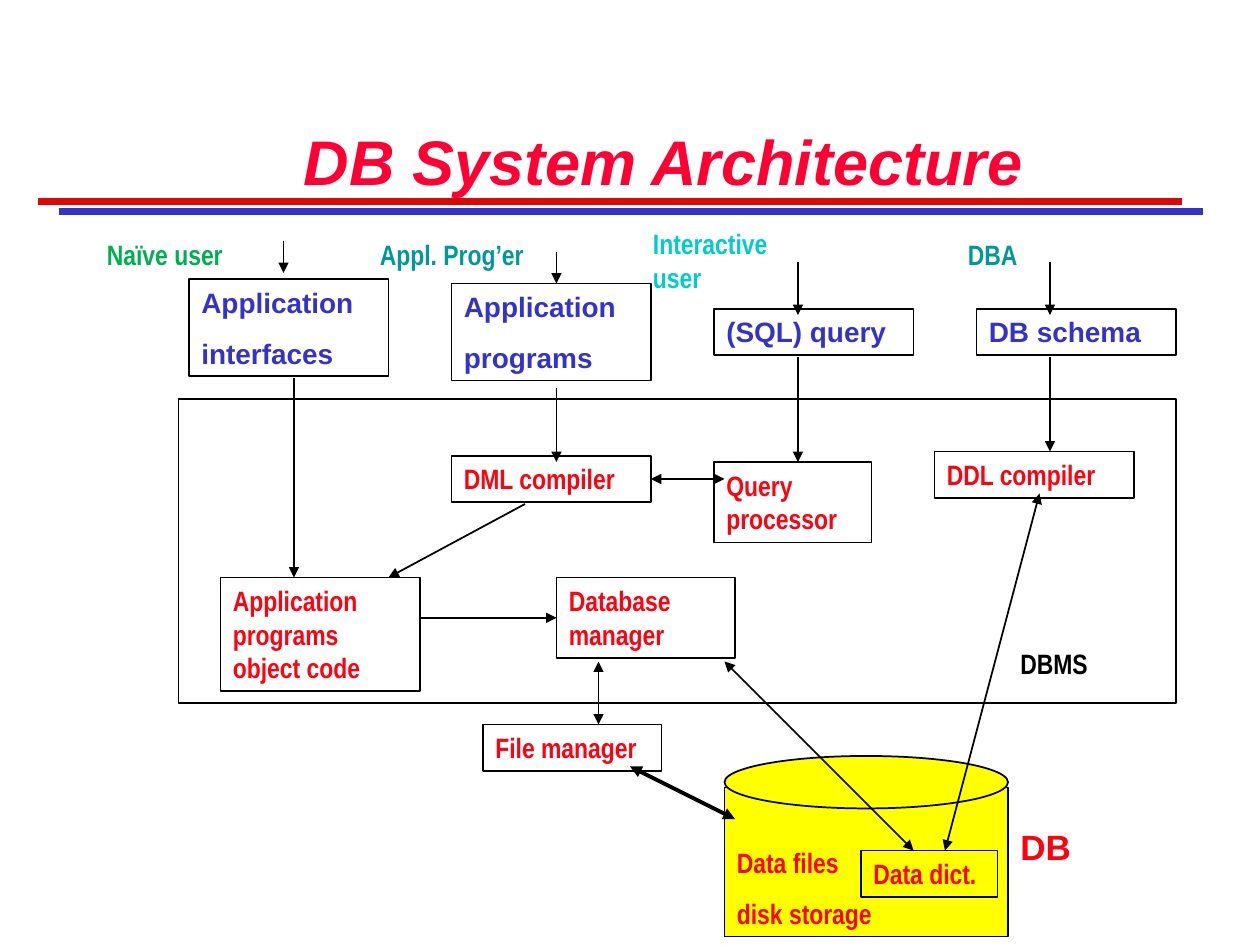
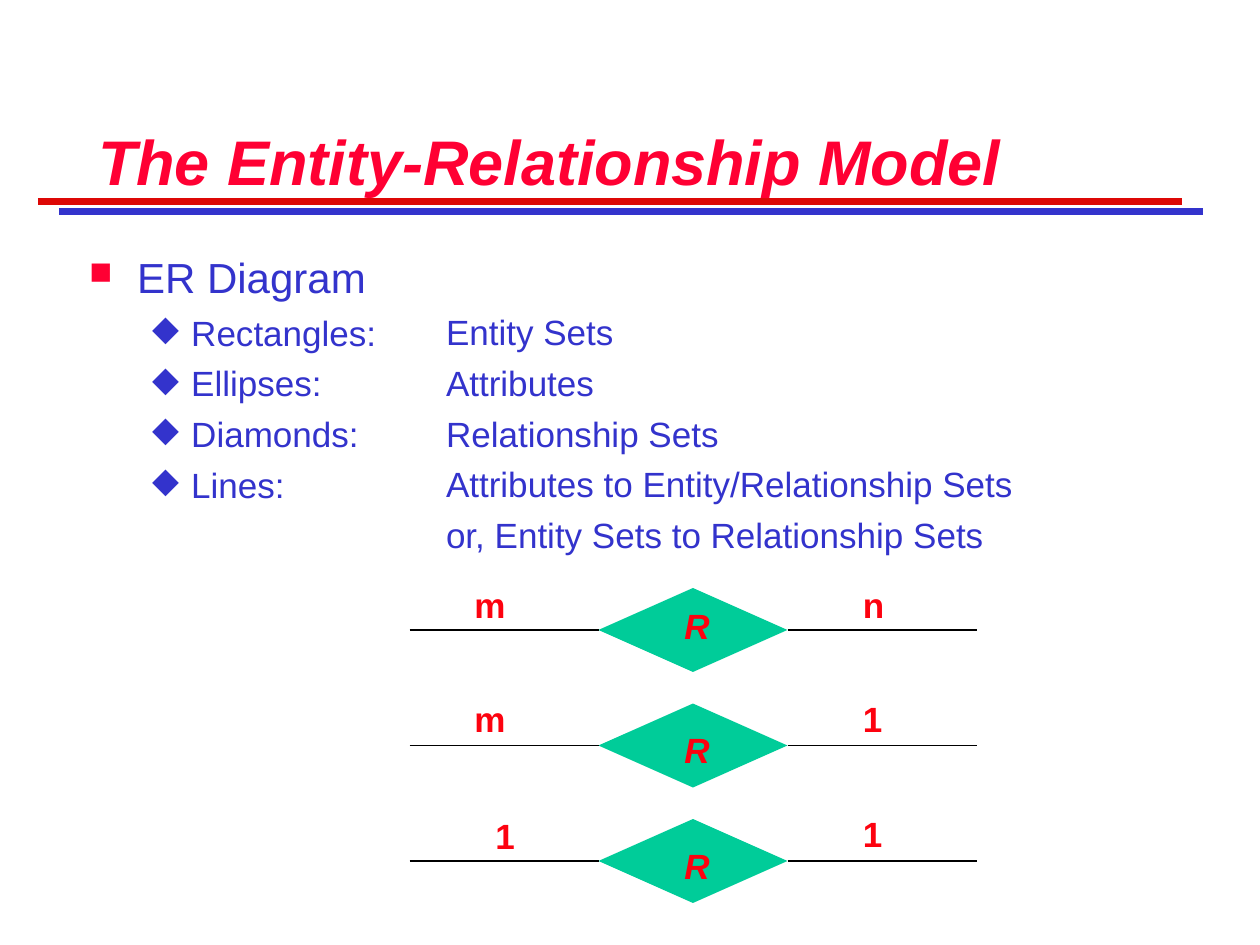
from lxml.etree import SubElement
from pptx import Presentation
from pptx.dml.color import RGBColor
from pptx.enum.shapes import MSO_CONNECTOR, MSO_SHAPE as Shape
from pptx.enum.text import MSO_ANCHOR as Anchor, PP_ALIGN as Align
from pptx.oxml.ns import qn
from pptx.util import Inches, Pt

COLORS = {
    "title": "FF0033", "red": "FD020F", "blue": "3333CC", "black": "000000",
    "white": "FFFFFF", "rule": "DD0806", "yellow": "FFFF00", "diamond": "00CC99",
    "green": "00B050", "teal": "009999", "aqua": "00CCCC",
}
# Every length is counted in grid cells: 120 columns by 90 rows
COLUMNS, ROWS = 120, 90
CELL = Inches(10) / COLUMNS
# Box heights for one or two lines of 16 pt, and one line of 20 pt
ONE_LINE, TWO_LINES, LARGE_LINE = 4.44, 7.68, 5.28
ARIAL, NARROW = "Arial", "Arial Narrow"


def add_box(slide, kind, area, lines=(), color="red", font=NARROW, size=16, before=10,
            fill=None, outline="black", bold=True, italic=False, anchor=Anchor.TOP,
            align=Align.LEFT):
    """Place a preset shape, or a text box if kind is None."""
    area = [round(value * CELL) for value in area]
    if kind is None:
        shape = slide.shapes.add_textbox(*area)
    else:
        shape = slide.shapes.add_shape(kind, *area)
        shape.shadow.inherit = False
        if fill:
            shape.fill.solid()
            shape.fill.fore_color.rgb = RGBColor.from_string(COLORS[fill])
        else:
            shape.fill.background()
        if outline:
            shape.line.color.rgb = RGBColor.from_string(COLORS[outline])
            shape.line.width = Pt(1)
        else:
            shape.line.fill.background()
    frame = shape.text_frame
    frame.word_wrap = True
    frame.vertical_anchor = anchor
    for index, line in enumerate(lines):
        paragraph = frame.add_paragraph() if index else frame.paragraphs[0]
        paragraph.text = line
        paragraph.alignment = align
        paragraph.space_before = Pt(before)
        paragraph.font.name = font
        paragraph.font.size = Pt(size)
        paragraph.font.bold = bold
        paragraph.font.italic = italic
        paragraph.font.color.rgb = RGBColor.from_string(COLORS[color])
    return shape


def add_line(slide, start, end, color="black", width=1, arrows=()):
    """Draw a straight line; arrows names the ends that carry a head."""
    points = [round(value * CELL) for value in (*start, *end)]
    line = slide.shapes.add_connector(MSO_CONNECTOR.STRAIGHT, *points)
    line.line.color.rgb = RGBColor.from_string(COLORS[color])
    line.line.width = Pt(width)
    for arrow in arrows:
        SubElement(line.line._get_or_add_ln(), qn(f"a:{arrow}"), type="triangle")
    SubElement(line._element.spPr, qn("a:effectLst"))
    return line


presentation = Presentation()
presentation.slide_width = round(COLUMNS * CELL)
presentation.slide_height = round(ROWS * CELL)
blank = presentation.slide_layouts[6]

# Title and double rule on both slides
slides = []
for title, align in (("DB System Architecture", Align.CENTER),
                     ("The Entity-Relationship Model", Align.LEFT)):
    slide = presentation.slides.add_slide(blank)
    for left, row, color in ((5.4, 19.68, "white"), (3.6, 19.2, "rule"), (5.6, 20.16, "blue")):
        add_line(slide, (left, row), (left + 109, row), color, 4)
    add_box(slide, None, (8.16, 2.16, 110, 17.28), [title], "title", ARIAL, 36, 0,
            italic=True, anchor=Anchor.BOTTOM, align=align)
    slides.append(slide)
architecture, er_model = slides

# DBMS frame
add_box(architecture, Shape.RECTANGLE, (17, 38, 95, 29))

# What each kind of user works with
for left, top, height, lines in (
    (18, 26.6, 9.24, ["Application", "interfaces"]),
    (43, 27, 9.24, ["Application", "programs"]),
    (68, 29.4, ONE_LINE, ["(SQL) query"]),
    (93, 29.4, ONE_LINE, ["DB schema"]),
):
    add_box(architecture, Shape.RECTANGLE, (left, top, 19, height), lines, "blue", ARIAL)

# Disk storage: a box closed by an ellipse
add_box(architecture, Shape.RECTANGLE, (69, 75, 27, 14.2), ["Data files", "disk storage"],
        fill="yellow", anchor=Anchor.BOTTOM)
add_box(architecture, Shape.OVAL, (69, 72, 27, 5), fill="yellow")

# System components
components = {}
for name, *area in (
    ("Application programs object code", 21, 55, 19, 10.8),
    ("DML compiler", 43, 43.4, 19, ONE_LINE),
    ("Query processor", 68, 44, 15, TWO_LINES),
    ("DDL compiler", 89, 43, 19, ONE_LINE),
    ("Database manager", 53, 55, 17, TWO_LINES),
    ("File manager", 46, 69, 17, ONE_LINE),
    ("Data dict.", 82, 81, 13, ONE_LINE),
):
    components[name] = add_box(architecture, Shape.RECTANGLE, area, [name])

# Labels for users and regions
for label, color, *area in (
    ("Naïve user", "green", 9, 22, 15, ONE_LINE),
    ("Appl. Prog’er", "teal", 35, 22, 17, ONE_LINE),
    ("Interactive user", "aqua", 61, 21, 14, TWO_LINES),
    ("DBA", "teal", 91, 22, 8, ONE_LINE),
    ("DBMS", "black", 96, 61, 14, ONE_LINE),
):
    add_box(architecture, None, area, [label], color)
add_box(architecture, None, (96, 78, 9, LARGE_LINE), ["DB"], font=ARIAL, size=20)

# One-way arrows
for start, end in (
    ((27, 23), (27, 26)), ((53, 24), (53, 27)), ((76, 25), (76, 30)), ((100, 25), (100, 30)),
    ((28, 36), (28, 55)), ((53, 37), (53, 44)), ((76, 34), (76, 44)), ((100, 34), (100, 43)),
    ((50, 48), (37, 55)),
):
    add_line(architecture, start, end, arrows=["tailEnd"])
code_arrow = add_line(architecture, (40, 58.84), (53, 58.84), arrows=["tailEnd"])
code_arrow.end_connect(components["Database manager"], 1)

# Two-way arrows
BOTH = ("headEnd", "tailEnd")
for start, end, width in (
    ((57, 63), (57, 69), 1),
    ((60, 73), (70, 78), 2.25),
    ((69, 63), (87, 81), 1),
    ((90, 81), (99, 47), 1),
):
    add_line(architecture, start, end, width=width, arrows=BOTH)
query_arrow = add_line(architecture, (62, 45.62), (69, 45.62), arrows=BOTH)
query_arrow.begin_connect(components["DML compiler"], 3)

# ER notation: bulleted symbols, with their meanings in a second column
symbols = add_box(er_model, None, (7.32, 23.4, 107, 36),
                  ["ER Diagram", "Rectangles:", "Ellipses:", "Diamonds:", "Lines:"],
                  "blue", ARIAL, 20, 5, bold=False)
for index, paragraph in enumerate(symbols.text_frame.paragraphs):
    if index == 0:
        paragraph.font.size = Pt(24)
        margin, hanging, color, scale, mark = 0.38, 0.38, "title", 75, "■"
    else:
        paragraph.level = 1
        margin, hanging, color, scale, mark = 0.81, 0.31, "blue", 100, "◆"
    properties = paragraph._p.get_or_add_pPr()
    properties.set("marL", str(Inches(margin)))
    properties.set("indent", str(-Inches(hanging)))
    bullet_color = SubElement(properties, qn("a:buClr"))
    SubElement(bullet_color, qn("a:srgbClr"), val=COLORS[color])
    SubElement(properties, qn("a:buSzPct"), val=str(scale * 1000))
    SubElement(properties, qn("a:buChar"), char=mark)
    # Bullet children must come before the default run properties
    defaults = properties.find(qn("a:defRPr"))
    if defaults is not None:
        properties.append(defaults)
add_box(er_model, None, (41.3, 29, 73, 30),
        ["Entity Sets", "Attributes", "Relationship Sets",
         "Attributes to Entity/Relationship Sets", "or, Entity Sets to Relationship Sets"],
        "blue", ARIAL, 20, 5, bold=False)

# Relationship cardinalities
for index, (left_label, left, left_top, right_label, right_top, name_top) in enumerate((
    ("m", 44, 55, "n", 55, 57),
    ("m", 44, 65.8, "1", 65.8, 68.8),
    ("1", 46, 77, "1", 76.8, 79.8),
)):
    middle = 60 + 11 * index
    diamond = add_box(er_model, Shape.DIAMOND, (57, middle - 4, 18, 8),
                      fill="diamond", outline=None)
    add_line(er_model, (39, middle), (57, middle)).end_connect(diamond, 1)
    add_line(er_model, (75, middle), (93, middle)).begin_connect(diamond, 3)
    for label, column, top, width in ((left_label, left, left_top, 6),
                                      (right_label, 81, right_top, 6),
                                      ("R", 64, name_top, 5)):
        add_box(er_model, None, (column, top, width, LARGE_LINE), [label],
                font=ARIAL, size=20, italic=label == "R")

presentation.save("out.pptx")
